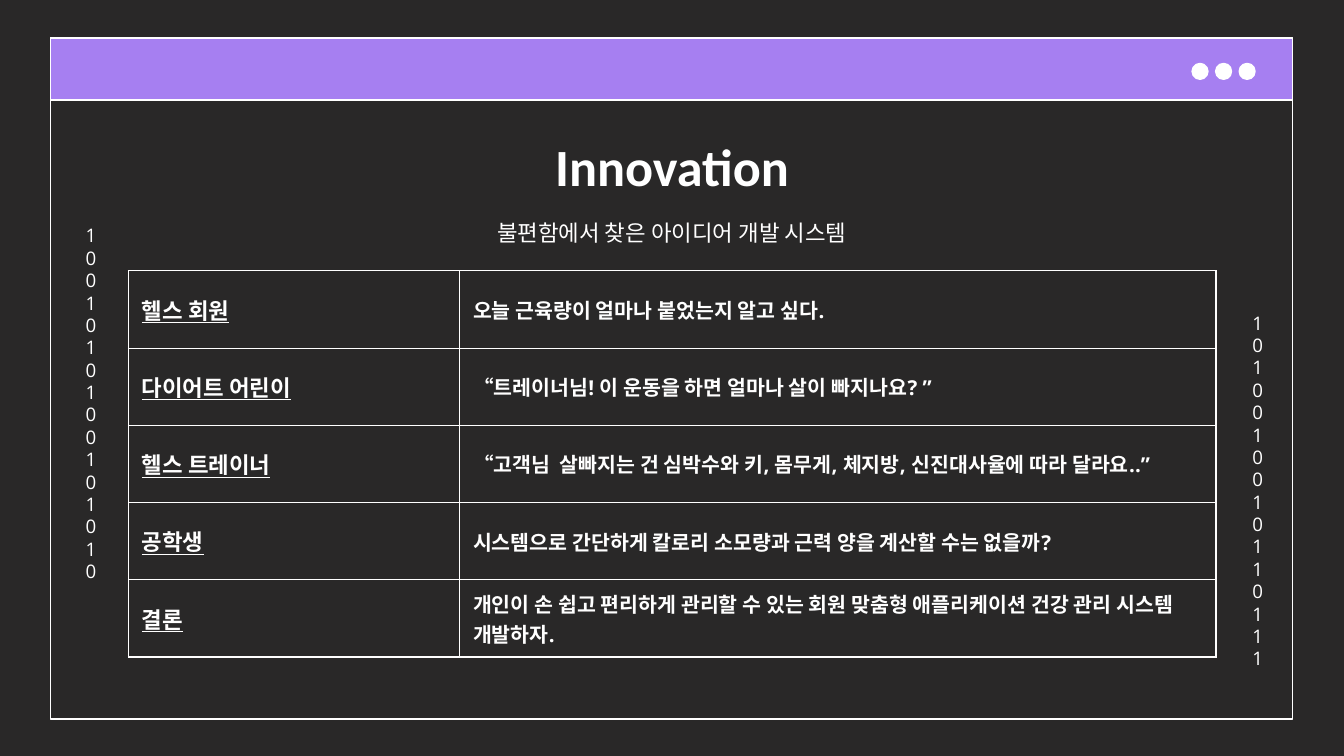
"""Build the Innovation slide: a window frame, a heading and a table of user needs."""
from dataclasses import dataclass

from lxml.etree import SubElement
from pptx import Presentation
from pptx.dml.color import RGBColor as RGB
from pptx.enum.shapes import MSO_SHAPE as SHAPE
from pptx.enum.text import MSO_ANCHOR as ANCHOR, MSO_AUTO_SIZE as AUTO, PP_ALIGN as ALIGN
from pptx.oxml import parse_xml
from pptx.oxml.ns import nsdecls, qn
from pptx.util import Cm, Pt


@dataclass(frozen=True)
class Theme:
    back: RGB = RGB.from_string("292828")
    bar: RGB = RGB.from_string("A67FF1")
    white: RGB = RGB.from_string("FFFFFF")
    heading: str = "Calibri"
    text: str = "Open Sans"
    title: Pt = Pt(28)
    label: Pt = Pt(12)
    quote: Pt = Pt(11)
    digits: Pt = Pt(10)
    line: Pt = Pt(0.75)


T = Theme()
ROWS = [
    ("헬스 회원", "오늘 근육량이 얼마나 붙었는지 알고 싶다."),
    ("다이어트 어린이", "“트레이너님! 이 운동을 하면 얼마나 살이 빠지나요? ”"),
    ("헬스 트레이너", "“고객님  살빠지는 건 심박수와 키, 몸무게, 체지방, 신진대사율에 따라 달라요..”"),
    ("공학생", "시스템으로 간단하게 칼로리 소모량과 근력 양을 계산할 수는 없을까?"),
    ("결론", "개인이 손 쉽고 편리하게 관리할 수 있는 회원 맞춤형 애플리케이션 건강 관리 시스템 개발하자."),
]


def add_box(kind, x, y, w, h, fill=None):
    sp = s.shapes.add_shape(kind, Cm(x), Cm(y), Cm(w), Cm(h))
    sp.shadow.inherit = False
    if fill is None:
        sp.fill.background()
    else:
        sp.fill.solid()
        sp.fill.fore_color.rgb = fill
    sp.line.color.rgb = T.white
    sp.line.width = T.line


def write(tf, text, size, font=T.text, bold=False, underline=False, align=ALIGN.CENTER):
    tf.text = text
    tf.word_wrap = True
    p = tf.paragraphs[0]
    p.alignment = align
    p.space_before = Pt(0)
    f = p.runs[0].font
    f.name, f.size, f.bold, f.underline = font, size, bold, underline
    f.color.rgb = T.white
    return p


prs = Presentation()
prs.slide_width, prs.slide_height = Cm(25.4), Cm(14.29)
s = prs.slides.add_slide(prs.slide_layouts[1])
s.background.fill.solid()
s.background.fill.fore_color.rgb = T.back

add_box(SHAPE.RECTANGLE, 0.96, 0.72, 23.47, 12.87)
add_box(SHAPE.RECTANGLE, 0.96, 0.72, 23.47, 1.17, T.bar)
for i in range(3):
    add_box(SHAPE.OVAL, 22.53 + 0.445 * i, 1.2, 0.3, 0.3, T.white)

title, body = s.placeholders
digits = [s.shapes.add_textbox(Cm(x), Cm(y), Cm(0.61), Cm(7.11)) for x, y in ((23.42, 5.64), (1.37, 3.99))]
title.left, title.top, title.width, title.height = Cm(2), Cm(2.29), Cm(21.4), Cm(1.6)
body.left, body.top, body.width, body.height = Cm(2), Cm(3.89), Cm(21.4), Cm(1.12)
for sp in (title, body, *digits):
    tf = sp.text_frame
    tf.auto_size = AUTO.NONE
    tf.vertical_anchor = ANCHOR.TOP
    tf.margin_left = tf.margin_right = tf.margin_top = tf.margin_bottom = Cm(0.25)

write(title.text_frame, "Innovation", T.title, T.heading, bold=True)
p = write(body.text_frame, "불편함에서 찾은 아이디어 개발 시스템", T.label)
pPr = p._p.get_or_add_pPr()
pPr.set("marL", "0")
pPr.set("indent", "0")
SubElement(pPr, qn("a:buNone"))
for sp, text in zip(digits, ("1010010010110111", "1001010100101010")):
    write(sp.text_frame, text, T.digits).line_spacing = Pt(12)

frame = s.shapes.add_table(len(ROWS), 2, Cm(2.43), Cm(5.12), Cm(20.55), Cm(7.3))
table = frame.table
table.first_row = table.horz_banding = False
table.columns[0].width, table.columns[1].width = Cm(6.26), Cm(14.29)
for row, texts in zip(table.rows, ROWS):
    row.height = Cm(1.46)
    for c, (cell, text) in enumerate(zip(row.cells, texts)):
        cell.vertical_anchor = ANCHOR.MIDDLE
        cell.margin_left = cell.margin_right = Cm(0.25)
        cell.margin_top = cell.margin_bottom = 0
        p = write(cell.text_frame, text, (T.label, T.quote)[c], bold=True, underline=c == 0, align=ALIGN.LEFT)
        if c == 1:
            p.space_after = Pt(16)
        tcPr = cell._tc.get_or_add_tcPr()
        for side in ("lnL", "lnR", "lnT", "lnB"):
            tcPr.append(parse_xml(
                f'<a:{side} {nsdecls("a")} w="{T.line}"><a:solidFill>'
                f'<a:srgbClr val="{T.white}"/></a:solidFill></a:{side}>'))
        cell.fill.background()

prs.save("out.pptx")
